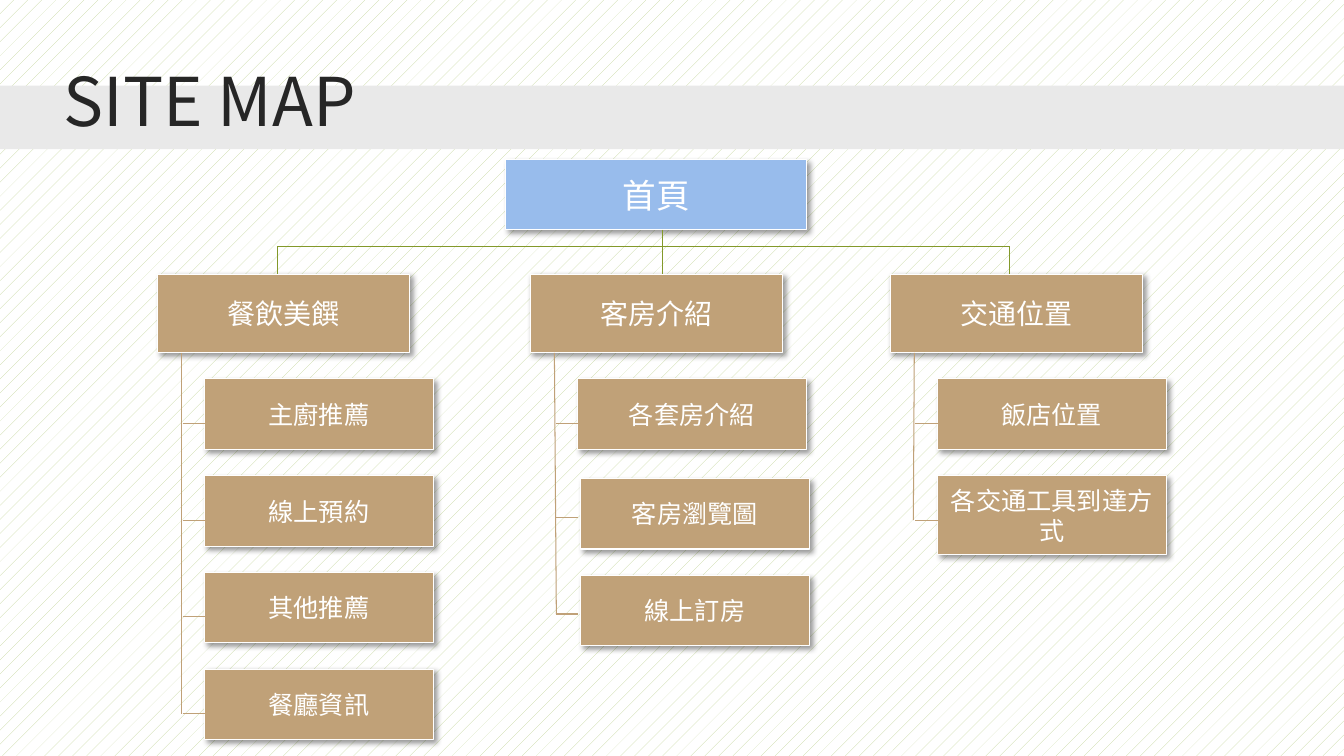
"""Build the hotel site map slide."""
from lxml import etree
from pptx import Presentation
from pptx.dml.color import RGBColor
from pptx.enum.dml import MSO_PATTERN
from pptx.enum.shapes import MSO_CONNECTOR, MSO_SHAPE
from pptx.enum.text import MSO_ANCHOR, PP_ALIGN
from pptx.oxml.ns import qn
from pptx.util import Pt

TITLE = "SITE MAP"
HOME = "首頁"
SECTIONS = [
    {"name": "餐飲美饌", "left": 112.3, "drop": 198, "lean": 0, "nudge": (0, 0, 0),
     "pages": ["主廚推薦", "線上預約", "其他推薦", "餐廳資訊"]},
    {"name": "客房介紹", "left": 378.7, "drop": 473, "lean": 1.4, "nudge": (2.2, 2, -2),
     "pages": ["各套房介紹", "客房瀏覽圖", "線上訂房"]},
    {"name": "交通位置", "left": 635.8, "drop": 721.4, "lean": -0.7, "nudge": (0, 0, 0),
     "pages": ["飯店位置", "各交通工具到達方式"]},
]

WHITE = RGBColor(0xFF, 0xFF, 0xFF)
DOTS = RGBColor(0xC3, 0xD6, 0x9B)
BAND = RGBColor(0xE9, 0xE9, 0xE9)
INK = RGBColor(0x26, 0x26, 0x26)
BLUE = RGBColor(0x98, 0xBC, 0xEC)
TAN = RGBColor(0xC0, 0xA1, 0x78)
GREEN = RGBColor(0x83, 0x99, 0x2A)
LATIN, ASIAN = "Times New Roman", "Noto Sans CJK SC"

HOME_BOX = (361.4, 113.8, 214.6, 50.4)
SECTION_TOP, SECTION_WIDTH, SECTION_HEIGHT = 195.8, 180.4, 56.2
PAGE_TOP, PAGE_WIDTH, PAGE_HEIGHT, TALL_HEIGHT = 270.7, 163.4, 50.4, 56.2
PAGE_INDENT, PITCH, TICK_TOP = 33.8, 69.1, 302.4
TRUNK_INDENT, TICK_LENGTH = 17.3, 16.6
BUS_Y = 176.4
LONG_NAME = 8


def write(shape, text, size, color, font, align, **spacing):
    frame = shape.text_frame
    frame.word_wrap = True
    frame.vertical_anchor = MSO_ANCHOR.MIDDLE
    para = frame.paragraphs[0]
    para.alignment = align
    for name, value in spacing.items():
        setattr(para, name, value)
    span = para.add_run()
    span.text = text
    for name, value in {"size": Pt(size), "name": font}.items():
        setattr(span.font, name, value)
    span.font.color.rgb = color
    etree.SubElement(span.font._element, qn("a:ea"), typeface=ASIAN)


def add_rect(page, bounds, fill):
    shape = page.shapes.add_shape(MSO_SHAPE.RECTANGLE, *map(Pt, bounds))
    shape.shadow.inherit = False
    shape.fill.solid()
    shape.fill.fore_color.rgb = fill
    return shape


def add_box(page, text, bounds, fill, size):
    box = add_rect(page, bounds, fill)
    box.line.color.rgb = WHITE
    box.line.width = Pt(0.75)
    effects = box._element.spPr.find(qn("a:effectLst"))
    shadow = etree.SubElement(effects, qn("a:outerShdw"), blurRad=str(Pt(4)), dist=str(Pt(3)),
                              dir="2700000", algn="tl", rotWithShape="0")
    black = etree.SubElement(shadow, qn("a:srgbClr"), val="000000")
    etree.SubElement(black, qn("a:alpha"), val="40000")
    write(box, text, size, WHITE, LATIN, PP_ALIGN.CENTER)


def add_line(page, start, end, color):
    line = page.shapes.add_connector(MSO_CONNECTOR.STRAIGHT, *map(Pt, start + end))
    line.line.color.rgb = color
    line.line.width = Pt(0.75)
    etree.SubElement(line._element.spPr, qn("a:effectLst"))


def add_section(page, section):
    left = section["left"]
    add_box(page, section["name"], (left, SECTION_TOP, SECTION_WIDTH, SECTION_HEIGHT), TAN, 20)
    trunk = left + TRUNK_INDENT
    foot = trunk + section["lean"]
    for row, name in enumerate(section["pages"]):
        shift_x, shift_y, shift_tick = section["nudge"] if row else (0, 0, 0)
        height = TALL_HEIGHT if len(name) > LONG_NAME else PAGE_HEIGHT
        add_box(page, name, (left + PAGE_INDENT + shift_x, PAGE_TOP + row * PITCH + shift_y,
                             PAGE_WIDTH, height), TAN, 18)
        tick = TICK_TOP + row * PITCH + shift_tick
        add_line(page, (trunk + 0.8, tick), (trunk + TICK_LENGTH, tick), TAN)
    add_line(page, (trunk, SECTION_TOP + SECTION_HEIGHT), (foot, tick), TAN)
    add_line(page, (section["drop"], BUS_Y), (section["drop"], SECTION_TOP), GREEN)


def main():
    deck = Presentation()
    deck.slide_width, deck.slide_height = Pt(960), Pt(540)
    page = deck.slides.add_slide(deck.slide_layouts[6])
    backdrop = page.background.fill
    backdrop.patterned()
    backdrop.pattern = MSO_PATTERN.PERCENT_5
    backdrop.fore_color.rgb = DOTS
    backdrop.back_color.rgb = WHITE

    band = add_rect(page, (0, 61.2, 960, 45.4), BAND)
    band.line.fill.background()
    title = page.shapes.add_textbox(*map(Pt, (38.2, 17.3, 864, 96.5)))
    write(title, TITLE, 48, INK, ASIAN, PP_ALIGN.LEFT,
          line_spacing=1.2, space_before=Pt(5.3), space_after=Pt(6))

    add_box(page, HOME, HOME_BOX, BLUE, 24)
    for section in SECTIONS:
        add_section(page, section)
    first, middle, last = (section["drop"] for section in SECTIONS)
    add_line(page, (first, BUS_Y), (last, BUS_Y), GREEN)
    add_line(page, (middle, HOME_BOX[1] + HOME_BOX[3]), (middle, BUS_Y), GREEN)
    deck.save("out.pptx")


if __name__ == "__main__":
    main()
